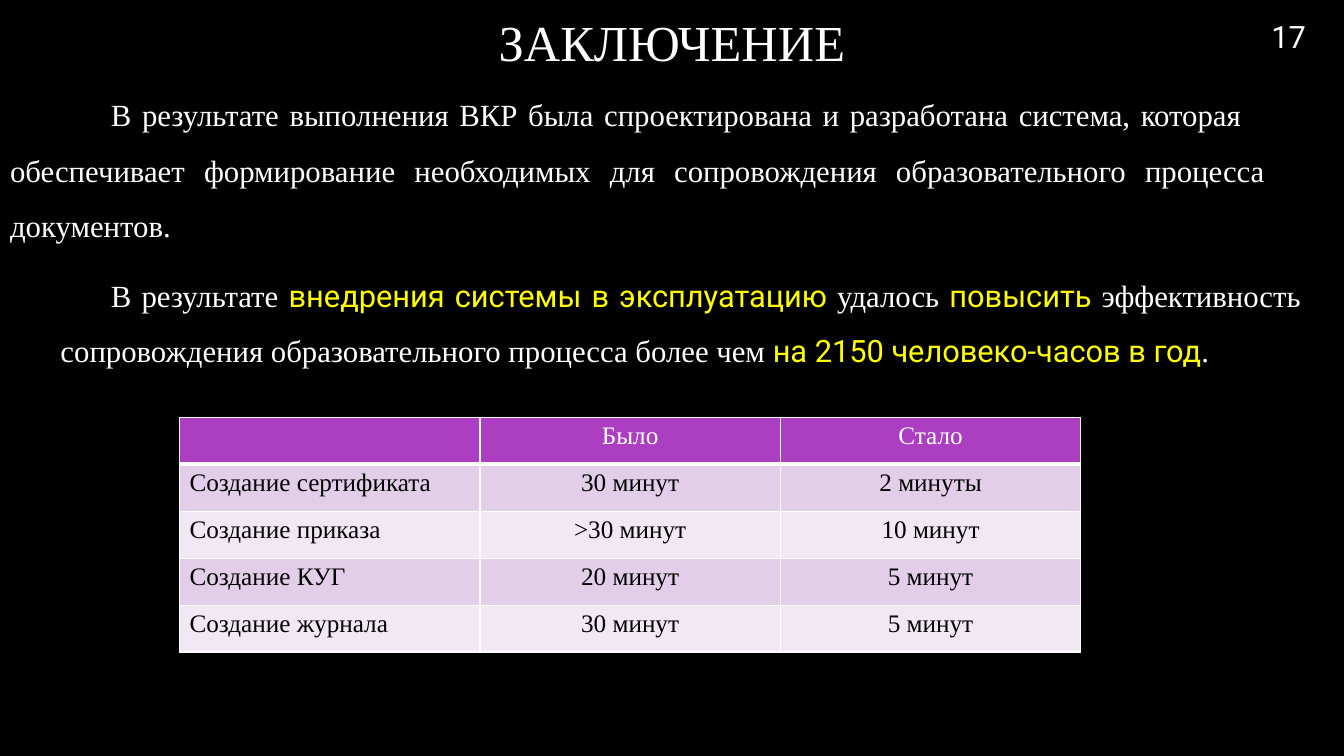
from lxml import etree
from pptx import Presentation
from pptx.dml.color import RGBColor
from pptx.enum.text import MSO_ANCHOR, MSO_AUTO_SIZE, PP_ALIGN
from pptx.oxml.ns import qn
from pptx.util import Inches, Pt

BLACK = RGBColor(0x00, 0x00, 0x00)
WHITE = RGBColor(0xFF, 0xFF, 0xFF)
YELLOW = RGBColor(0xFF, 0xFF, 0x00)
PURPLE = RGBColor(0xAC, 0x3E, 0xC1)
LILAC = RGBColor(0xE3, 0xCE, 0xE9)
PALE_LILAC = RGBColor(0xF1, 0xE8, 0xF4)

SERIF = "Times New Roman"
SANS = "Roboto"

# Each paragraph: left margin in inches, then (text, highlighted) parts
CONCLUSIONS = [
    (0, [("\t\tВ результате выполнения ВКР была спроектирована и разработана "
          "система, которая \tобеспечивает формирование необходимых для "
          "сопровождения образовательного процесса \tдокументов.", False)]),
    (0.5, [("\tВ результате ", False),
           ("внедрения системы в эксплуатацию ", True),
           ("удалось ", False),
           ("повысить ", True),
           ("эффективность сопровождения образовательного процесса "
            "более чем ", False),
           ("на 2150 человеко-часов в год", True),
           (".", False)]),
]

TIME_ROWS = [
    ("", "Было", "Стало"),
    ("Создание сертификата", "30 минут", "2 минуты"),
    ("Создание приказа", ">30 минут", "10 минут"),
    ("Создание КУГ", "20 минут", "5 минут"),
    ("Создание журнала", "30 минут", "5 минут"),
]


def place(shape, left, top, width, height):
    shape.left, shape.top = Inches(left), Inches(top)
    shape.width, shape.height = Inches(width), Inches(height)


def style_font(font, size, name, color):
    font.size = Pt(size)
    font.name = name
    font.color.rgb = color


def set_line(text_frame, text, size, name):
    """Fill a frame with one centred white line."""
    text_frame.text = text
    text_frame.word_wrap = True
    text_frame.auto_size = MSO_AUTO_SIZE.NONE
    text_frame.vertical_anchor = MSO_ANCHOR.MIDDLE
    paragraph = text_frame.paragraphs[0]
    paragraph.alignment = PP_ALIGN.CENTER
    style_font(paragraph.runs[0].font, size, name, WHITE)


def fill_body(body):
    text_frame = body.text_frame
    text_frame.auto_size = MSO_AUTO_SIZE.NONE
    text_frame.vertical_anchor = MSO_ANCHOR.TOP
    for index, (margin, parts) in enumerate(CONCLUSIONS):
        paragraph = text_frame.add_paragraph() if index else text_frame.paragraphs[0]
        paragraph.level = index
        paragraph.alignment = PP_ALIGN.JUSTIFY
        paragraph.line_spacing = 1.5
        paragraph.space_before = Pt(0)
        paragraph.space_after = Pt(10)
        # Plain paragraph: own margin, no hanging indent, no bullet
        properties = paragraph._p.get_or_add_pPr()
        properties.set("marL", str(Inches(margin)))
        properties.set("indent", "0")
        etree.SubElement(properties, qn("a:buNone"))
        for text, highlighted in parts:
            run = paragraph.add_run()
            run.text = text
            style_font(run.font, 22, SANS if highlighted else SERIF,
                       YELLOW if highlighted else WHITE)


def set_borders(cell, bottom_width):
    properties = cell._tc.get_or_add_tcPr()
    widths = {"a:lnL": 1, "a:lnR": 1, "a:lnT": 1, "a:lnB": bottom_width}
    # Borders come before the fill in the cell properties
    for position, (tag, width) in enumerate(widths.items()):
        line = etree.Element(qn(tag), w=str(Pt(width)))
        fill = etree.SubElement(line, qn("a:solidFill"))
        etree.SubElement(fill, qn("a:srgbClr"), val=str(WHITE))
        properties.insert(position, line)


def add_time_table(slide):
    frame = slide.shapes.add_table(len(TIME_ROWS), len(TIME_ROWS[0]),
                                   Inches(1.78), Inches(4.14),
                                   Inches(8.94), Inches(2.33))
    table = frame.table
    for row_index, row in enumerate(TIME_ROWS):
        header = row_index == 0
        banded = LILAC if row_index % 2 else PALE_LILAC
        for column_index, text in enumerate(row):
            cell = table.cell(row_index, column_index)
            cell.fill.solid()
            cell.fill.fore_color.rgb = PURPLE if header else banded
            set_borders(cell, 3 if header else 1)
            cell.text = text
            paragraph = cell.text_frame.paragraphs[0]
            paragraph.alignment = PP_ALIGN.CENTER if column_index else PP_ALIGN.LEFT
            for run in paragraph.runs:
                style_font(run.font, 18, SERIF, WHITE if header else BLACK)
                run.font.bold = False


def main():
    presentation = Presentation()
    presentation.slide_width = Inches(13.33)
    presentation.slide_height = Inches(7.5)
    slide = presentation.slides.add_slide(presentation.slide_layouts[1])
    slide.background.fill.solid()
    slide.background.fill.fore_color.rgb = BLACK

    # Title and conclusions
    title, body = slide.placeholders
    place(title, 0, 0, 13.33, 0.82)
    set_line(title.text_frame, "ЗАКЛЮЧЕНИЕ", 36, SERIF)
    place(body, 0, 0.72, 13, 6.11)
    fill_body(body)

    # Page number
    number = slide.shapes.add_textbox(Inches(12.22), 0, Inches(1.12), Inches(0.72))
    set_line(number.text_frame, "17", 22, SANS)

    # Time before and after
    add_time_table(slide)
    presentation.save("out.pptx")


if __name__ == "__main__":
    main()
